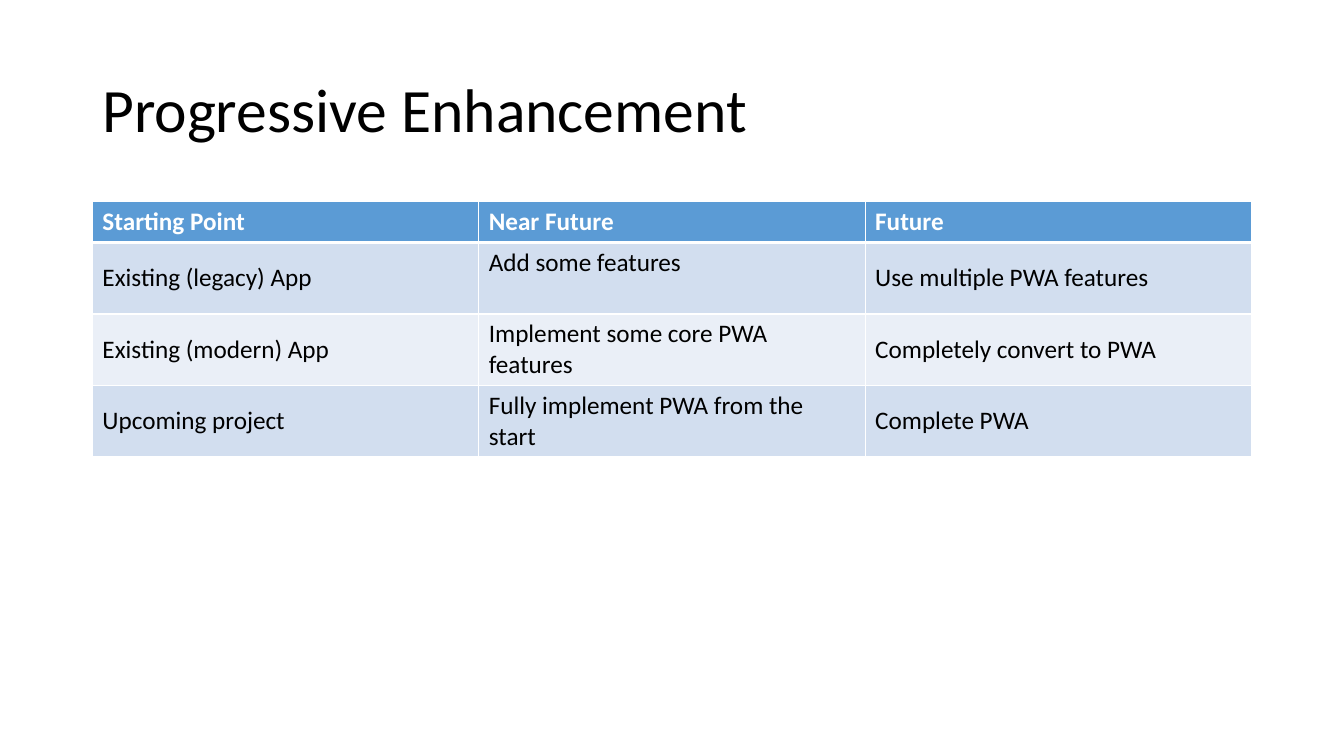
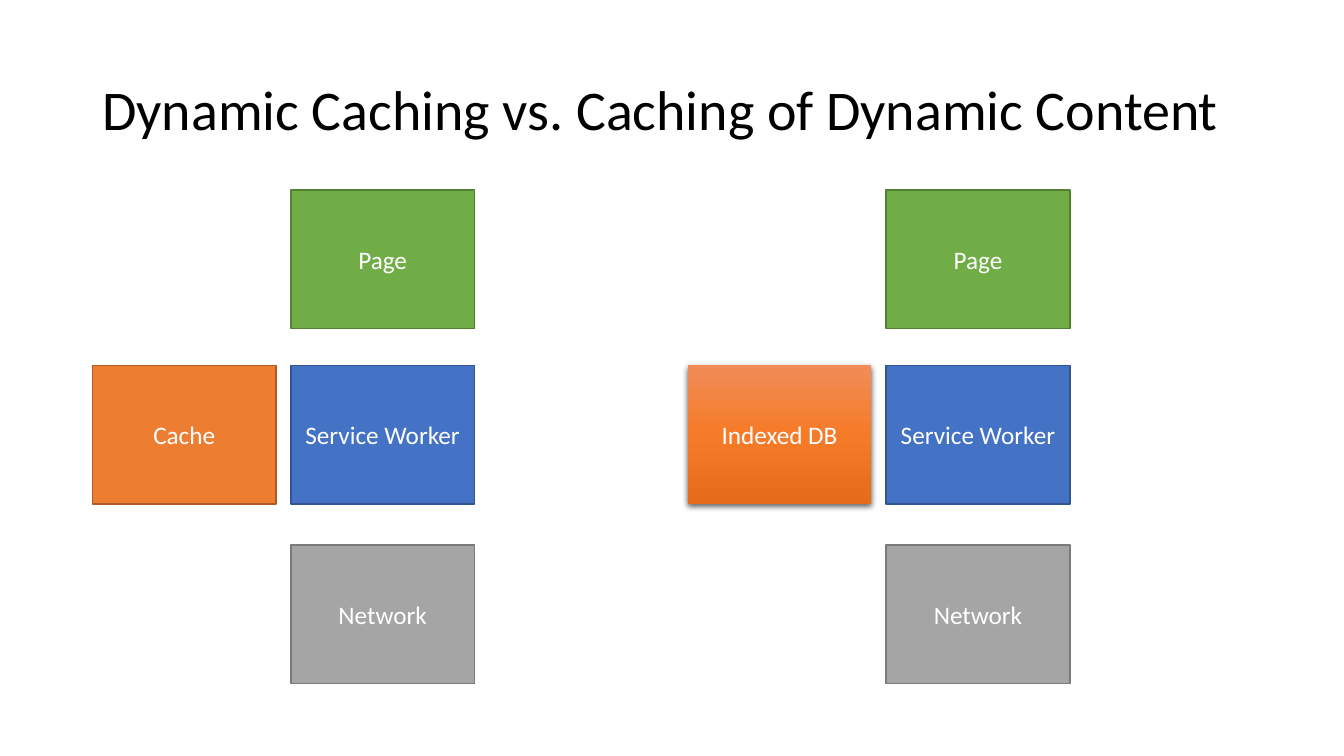
from lxml import etree
from pptx import Presentation
from pptx import util as u
from pptx.dml.color import RGBColor
from pptx.enum import shapes, text
from pptx.oxml import ns, parse_xml

PX = 9525
FONT = "Calibri"
COLORS = {
    "text": "000000", "white": "FFFFFF", "header": "5B9BD5",
    "band_dark": "D2DEEF", "band_light": "EAEFF7",
    "page": "70AD47", "page_line": "538035",
    "worker": "4472C4", "worker_line": "325491",
    "network": "A5A5A5", "network_line": "7A7A7A",
    "cache": "ED7D31", "cache_line": "AF5C24",
    "glow_top": "F18C57", "glow_middle": "F67B28", "glow_bottom": "E56C19",
}
TITLE_BOX = (88, 38, 1104, 139)
TABLE_BOX = (88, 192, 1104, 243)
HEADER_HEIGHT = 39
BOX_WIDTH, BOX_HEIGHT, BOX_GAP = 175, 132, 14
ROW_TOPS = {"page": 0, "worker": 167, "network": 338}
MIDDLE = text.MSO_ANCHOR.MIDDLE


def px(*lengths):
    return [u.Emu(length * PX) for length in lengths]


def rgb(name):
    return RGBColor.from_string(COLORS[name])


def apply_format(target, values):
    for name, value in values.items():
        setattr(target, name, value)


def write(frame, words, size, color, bold=False, **paragraph_format):
    paragraph = frame.paragraphs[0]
    apply_format(paragraph, paragraph_format)
    run = paragraph.add_run()
    run.text = words
    apply_format(run.font, {"name": FONT, "size": u.Pt(size), "bold": bold})
    run.font.color.rgb = rgb(color)


def add_title(slide, words, size):
    frame = slide.shapes.add_textbox(*px(*TITLE_BOX)).text_frame
    apply_format(frame, {"word_wrap": True, "vertical_anchor": MIDDLE})
    write(frame, words, size, "text", line_spacing=0.9)


def add_borders(cell, widths):
    """Draw white borders; widths maps the sides L, R, T, B to points."""
    properties = cell._tc.get_or_add_tcPr()
    for index, side in enumerate("LRTB"):
        line = etree.Element(ns.qn(f"a:ln{side}"), w=str(u.Pt(widths[side])))
        fill = etree.SubElement(line, ns.qn("a:solidFill"))
        etree.SubElement(fill, ns.qn("a:srgbClr"), val=COLORS["white"])
        properties.insert(index, line)


def add_plan_table(slide, box, rows, top_cells):
    """Add a banded table; top_cells lists the body cells aligned to the top."""
    row_count, column_count = len(rows), len(rows[0])
    table = slide.shapes.add_table(row_count, column_count, *px(*box)).table
    apply_format(table, {"first_row": False, "horz_banding": False})
    body_height = (box[3] - HEADER_HEIGHT) // (row_count - 1)
    for column in table.columns:
        column.width = px(box[2] // column_count)[0]
    for i, row in enumerate(rows):
        header = i == 0
        table.rows[i].height = px(HEADER_HEIGHT if header else body_height)[0]
        band = "header" if header else "band_dark" if i % 2 else "band_light"
        for j, words in enumerate(row):
            cell = table.cell(i, j)
            add_borders(cell, {"L": 1, "R": 1, "T": 3 if i == 1 else 1, "B": 3 if header else 1})
            cell.fill.solid()
            cell.fill.fore_color.rgb = rgb(band)
            at_top = header or (i, j) in top_cells
            cell.vertical_anchor = text.MSO_ANCHOR.TOP if at_top else MIDDLE
            write(cell.text_frame, words, 18, "white" if header else "text", bold=header)


def fill_plain(shape, color):
    shape.fill.solid()
    shape.fill.fore_color.rgb = rgb(color)
    shape.line.color.rgb = rgb(f"{color}_line")
    shape.line.width = u.Pt(1)


def fill_glowing(shape):
    """Give the shape a vertical gradient and a soft shadow, without outline."""
    shape.line.fill.background()
    names = ("glow_top", "glow_middle", "glow_bottom")
    stops = "".join(
        f'<a:gs pos="{i * 50000}"><a:srgbClr val="{COLORS[name]}"/></a:gs>'
        for i, name in enumerate(names))
    properties = shape._element.spPr
    properties.find(ns.qn("a:prstGeom")).addnext(parse_xml(
        f'<a:gradFill {ns.nsdecls("a")} rotWithShape="1"><a:gsLst>{stops}</a:gsLst>'
        '<a:lin ang="5400000" scaled="0"/></a:gradFill>'))
    properties.find(ns.qn("a:effectLst")).append(parse_xml(
        f'<a:outerShdw {ns.nsdecls("a")} blurRad="{u.Pt(4.5)}" dist="{u.Pt(1.5)}" '
        'dir="5400000" algn="ctr" rotWithShape="0"><a:srgbClr val="000000">'
        '<a:alpha val="63000"/></a:srgbClr></a:outerShdw>'))


def add_box(slide, left, top, words, color):
    shape = slide.shapes.add_shape(
        shapes.MSO_SHAPE.RECTANGLE, *px(left, top, BOX_WIDTH, BOX_HEIGHT))
    shape.shadow.inherit = False
    if color == "glow":
        fill_glowing(shape)
    else:
        fill_plain(shape, color)
    apply_format(shape.text_frame, {"word_wrap": True, "vertical_anchor": MIDDLE})
    write(shape.text_frame, words, 18, "white", alignment=text.PP_ALIGN.CENTER)


def add_caching_diagram(slide, left, top, storage, storage_color):
    """Stack page, worker and network, with the storage left of the worker."""
    stack_left = left + BOX_WIDTH + BOX_GAP
    for color, words in (("page", "Page"), ("worker", "Service Worker"), ("network", "Network")):
        add_box(slide, stack_left, top + ROW_TOPS[color], words, color)
    add_box(slide, left, top + ROW_TOPS["worker"], storage, storage_color)


def build_enhancement_slide(slide):
    add_title(slide, "Progressive Enhancement", 44)
    add_plan_table(slide, TABLE_BOX, [
        ("Starting Point", "Near Future", "Future"),
        ("Existing (legacy) App", "Add some features", "Use multiple PWA features"),
        ("Existing (modern) App", "Implement some core PWA features", "Completely convert to PWA"),
        ("Upcoming project", "Fully implement PWA from the start", "Complete PWA"),
    ], top_cells={(1, 1)})


def build_caching_slide(slide):
    add_title(slide, "Dynamic Caching vs. Caching of Dynamic Content", 40)
    add_caching_diagram(slide, 88, 181, "Cache", "cache")
    add_caching_diagram(slide, 655, 181, "Indexed DB", "glow")


def main():
    presentation = Presentation()
    presentation.slide_width, presentation.slide_height = px(1280, 720)
    for build in (build_enhancement_slide, build_caching_slide):
        build(presentation.slides.add_slide(presentation.slide_layouts[6]))
    presentation.save("out.pptx")


if __name__ == "__main__":
    main()
